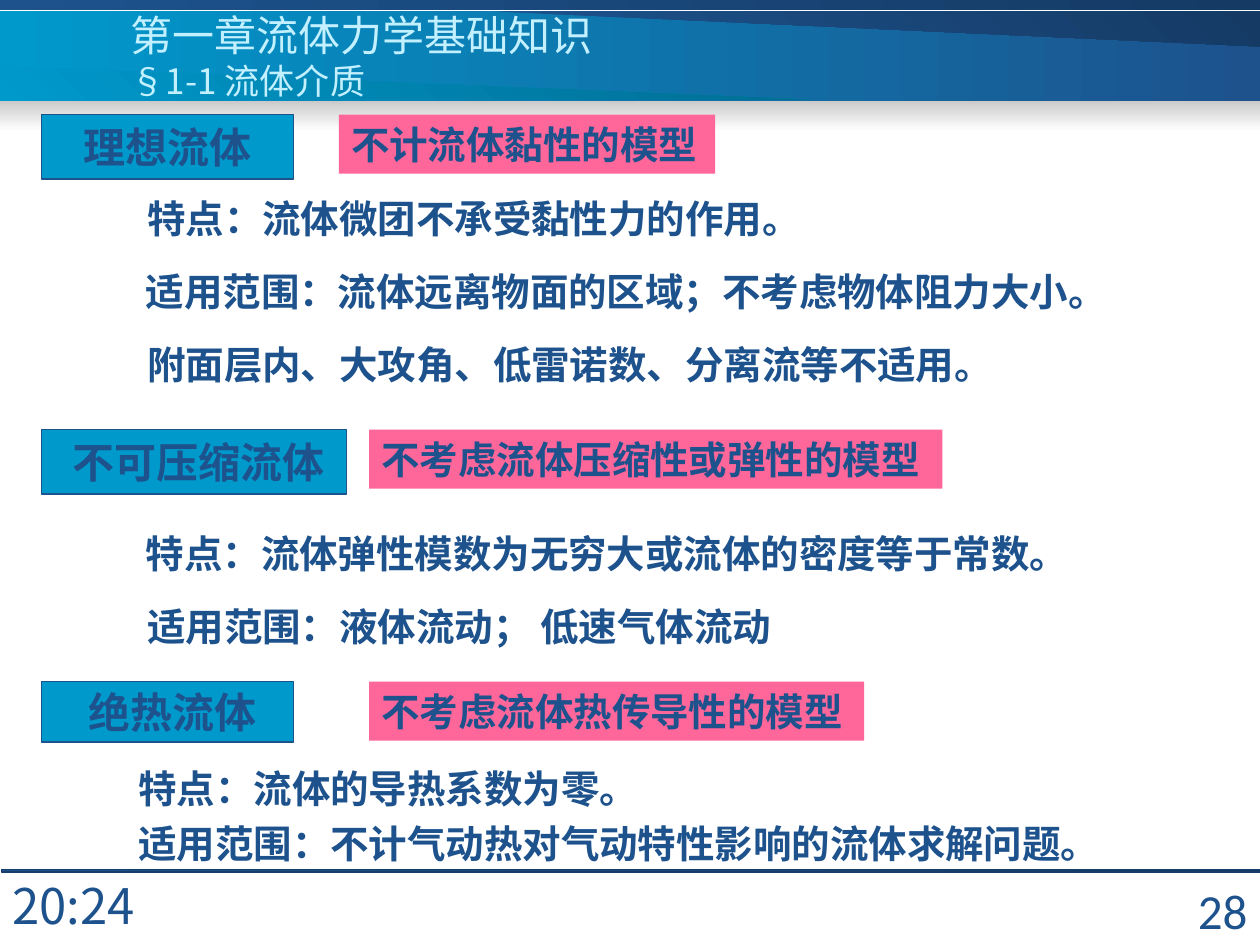
from lxml import etree
from pptx import Presentation
from pptx.dml.color import RGBColor
from pptx.enum.shapes import MSO_SHAPE
from pptx.enum.text import MSO_ANCHOR, MSO_AUTO_SIZE, PP_ALIGN
from pptx.oxml.ns import qn
from pptx.util import Cm, Pt

RECT = MSO_SHAPE.RECTANGLE
TOP, MIDDLE = MSO_ANCHOR.TOP, MSO_ANCHOR.MIDDLE
LEFT, CENTER, RIGHT = PP_ALIGN.LEFT, PP_ALIGN.CENTER, PP_ALIGN.RIGHT
GROW = MSO_AUTO_SIZE.SHAPE_TO_FIT_TEXT
SC, JP = "Noto Sans CJK SC", "Noto Sans CJK JP"

C = {
    "cyan": "0099CC", "teal": "006D92", "blue": "1D528D", "navy": "153B65",
    "edge": "163D6A", "pink": "FF6699", "pale": "C2F0FF",
    "shade": "CACACA", "white": "FFFFFF",
}
W, H = 25.4, 19.05

# Content: lengths in cm; a note is (left, top, width, height, lines)
LABEL_X, MODEL_H, LINE_H = 0.84, 1.19, 1.19
SECTIONS = [
    {"top": 2.31, "label": ("理想流体", 5.08, 1.3),
     "model": ("不计流体黏性的模型", 6.83, 7.59),
     "notes": [
         (2.72, 3.81, 13.79, LINE_H, ["特点：流体微团不承受黏性力的作用。"]),
         (2.69, 5.28, 20.02, LINE_H,
          ["适用范围：流体远离物面的区域；不考虑物体阻力大小。"]),
         (2.72, 6.76, 17.68, LINE_H,
          ["附面层内、大攻角、低雷诺数、分离流等不适用。"])]},
    {"top": 8.66, "label": (" 不可压缩流体", 6.15, 1.3),
     "model": ("不考虑流体压缩性或弹性的模型", 7.44, 11.56),
     "notes": [
         (2.69, 10.57, 19.25, LINE_H,
          ["特点：流体弹性模数为无穷大或流体的密度等于常数。"]),
         (2.72, 12.04, 13.21, LINE_H, ["适用范围：液体流动； 低速气体流动"])]},
    {"top": 13.74, "label": (" 绝热流体", 5.08, 1.22),
     "model": ("不考虑流体热传导性的模型", 7.44, 9.98),
     "notes": [
         (2.54, 15.11, 20.02, 2.49,
          ["特点：流体的导热系数为零。",
           "适用范围：不计气动热对气动特性影响的流体求解问题。"])]},
]
TITLE = [("第一章流体力学基础知识 ", 24), ("§1-1 流体介质", 20)]

# Master bands: (left, top, width, height, colours, clockwise angle, line)
BANDS = [
    (0, 2.03, W, 0.61, ("shade", "white"), 90, None),
    (0, 0, W, 0.2, ("blue", "navy"), 0, None),
    (0.03, 17.53, W, 0.05, ("blue", "navy"), 0, "edge"),
]
HEADER = (0, 0.23, 25.43, 1.8, ("cyan", "blue"), 0, None)
WEDGES = [
    ([(24.94, 0.23), (9.98, 0.23), (25.43, 0.94), (25.43, 0.23)],
     ("blue", "navy")),
    ([(0.48, 2.01), (16.33, 2.01), (0, 1.32), (0, 2.01)], ("cyan", "teal")),
]


def rgb(name):
    return RGBColor.from_string(C[name])


def set_line(sp, color):
    if color:
        sp.line.color.rgb = rgb(color)
        sp.line.width = Pt(0.75)
    else:
        sp.line.fill.background()


def set_gradient(sp, colors, angle):
    sp.shadow.inherit = False
    sp.fill.gradient()
    sp.fill.gradient_angle = (360 - angle) % 360
    for stop, color in zip(sp.fill.gradient_stops, colors):
        stop.color.rgb = rgb(color)


def add_band(left, top, width, height, colors, angle, line):
    sp = s.shapes.add_shape(RECT, Cm(left), Cm(top), Cm(width), Cm(height))
    set_gradient(sp, colors, angle)
    set_line(sp, line)


def add_box(at, fill, line=None):
    sp = s.shapes.add_shape(RECT, *map(Cm, at))
    sp.shadow.inherit = False
    sp.fill.solid()
    sp.fill.fore_color.rgb = rgb(fill)
    set_line(sp, line)
    return sp


def add_textbox(at):
    return s.shapes.add_textbox(*map(Cm, at))


def add_run(p, text, size, font, color="blue", bold=False, cjk=SC):
    r = p.add_run()
    r.text = text
    r.font.size, r.font.bold, r.font.name = Pt(size), bold, font
    r.font.color.rgb = rgb(color)
    etree.SubElement(r.font._element, qn("a:ea"), typeface=cjk)


def set_text(sp, lines, size, font, bold=False, align=LEFT, anchor=TOP,
             wrap=True, spacing=None):
    tf = sp.text_frame
    tf.word_wrap, tf.vertical_anchor = wrap, anchor
    if not wrap:
        tf.auto_size = GROW
    for i, line in enumerate(lines):
        p = tf.add_paragraph() if i else tf.paragraphs[0]
        p.alignment = align
        if spacing:
            p.line_spacing = spacing
        add_run(p, line, size, font, bold=bold)


prs = Presentation()
prs.slide_width, prs.slide_height = Cm(W), Cm(H)
s = prs.slides.add_slide(prs.slide_layouts[6])

# Header and rules
add_band(*HEADER)
for points, colors in WEDGES:
    start, *rest = [(Cm(x), Cm(y)) for x, y in points]
    fb = s.shapes.build_freeform(*start)
    fb.add_line_segments(rest, close=True)
    wedge = fb.convert_to_shape()
    set_gradient(wedge, colors, 315)
    set_line(wedge, None)
for band in BANDS:
    add_band(*band)

# Title: one paragraph with a line break
tf = add_textbox((2.39, 0.13, 19.74, 1.98)).text_frame
tf.word_wrap, tf.vertical_anchor = True, MIDDLE
p = tf.paragraphs[0]
for i, (text, size) in enumerate(TITLE):
    if i:
        p.add_line_break()
    add_run(p, text, size, JP, "pale", cjk=JP)

# Footer
set_text(add_textbox((0, 17.53, 3.4, 1.45)), ["20:24"], 28, SC)
set_text(add_textbox((23.01, 17.65, 2.39, 1.4)), ["28"], 28, "Calibri",
         align=RIGHT, anchor=MIDDLE)

# Fluid models
for section in SECTIONS:
    top = section["top"]
    text, width, height = section["label"]
    label = add_box((LABEL_X, top, width, height), "cyan", "blue")
    set_text(label, [text], 24, "Times New Roman", True, CENTER, MIDDLE)
    text, left, width = section["model"]
    model = add_box((left, top, width, MODEL_H), "pink")
    set_text(model, [text], 22, "Arial", True, wrap=False)
    for *at, lines in section["notes"]:
        set_text(add_textbox(at), lines, 22, "Arial", True, wrap=False,
                 spacing=1.2 if len(lines) > 1 else None)

prs.save("out.pptx")
